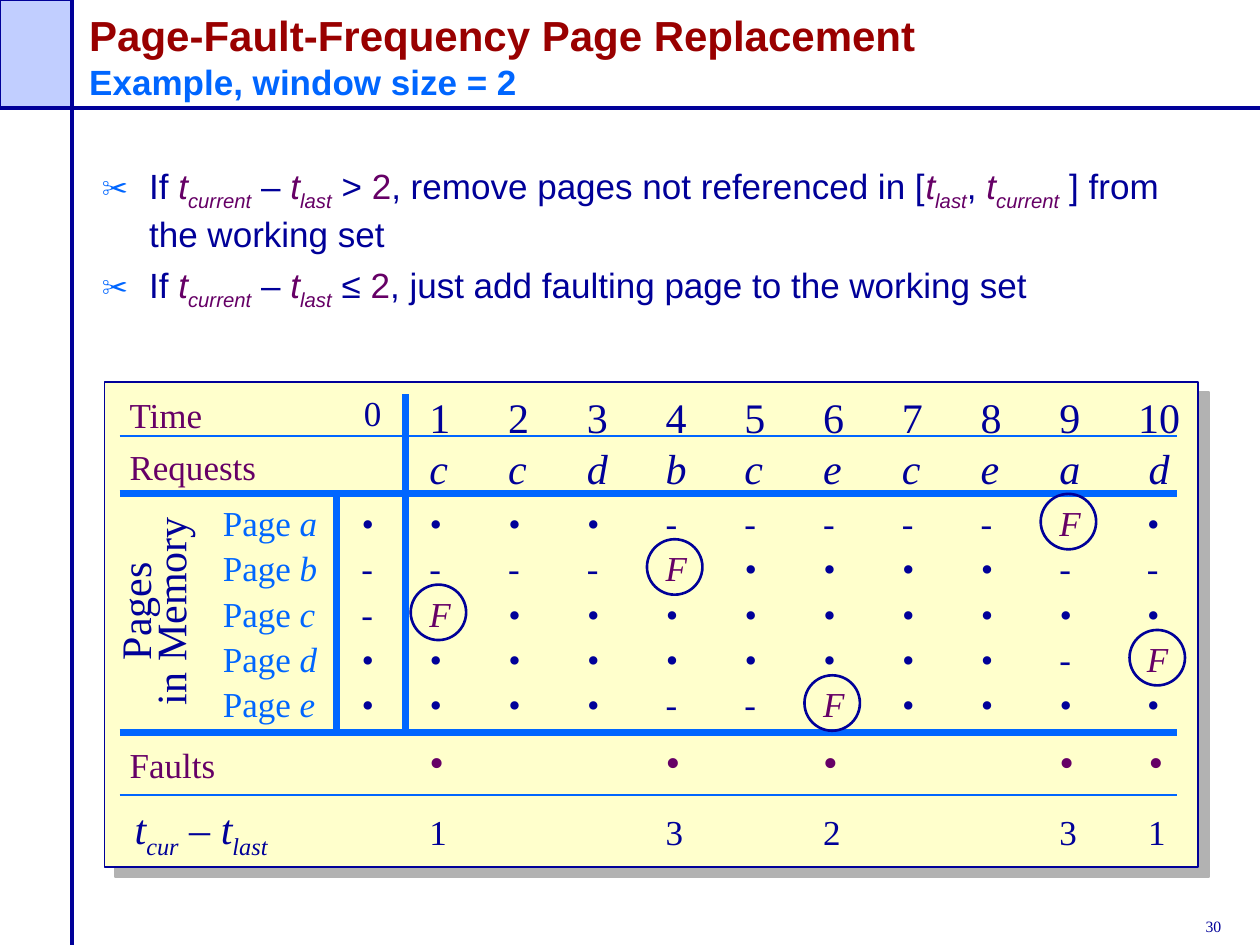
from dataclasses import dataclass
from itertools import groupby
from typing import NamedTuple

from lxml.etree import SubElement
from pptx import Presentation
from pptx.dml.color import RGBColor
from pptx.enum.shapes import MSO_CONNECTOR, MSO_SHAPE
from pptx.enum.text import MSO_ANCHOR, MSO_AUTO_SIZE, PP_ALIGN
from pptx.oxml.ns import qn
from pptx.util import Inches, Pt


@dataclass(frozen=True)
class Theme:
    """Colours, fonts and type sizes of the slide."""
    navy: str = "000099"
    blue: str = "0066FF"
    plum: str = "660066"
    red: str = "990000"
    lilac: str = "C1CEFF"
    cream: str = "FFFFCC"
    grey: str = "B2B2B2"
    sans: str = "Arial"
    serif: str = "Times New Roman"
    large: int = 24
    medium: int = 20
    small: int = 9


class Box(NamedTuple):
    """A rectangle in inches."""
    left: float
    top: float
    width: float
    height: float

    def inner(self, x, y, width, height):
        """Return a box placed relative to this one."""
        return Box(self.left + x, self.top + y, width, height)

    def lengths(self):
        """Return the four sides as lengths."""
        return [Inches(side) for side in self]


T = Theme()
COLUMN_PITCH, ROW_PITCH, LAST_SHIFT, ROW_WIDTH = 0.625, 0.36, 0.08, 6.2
REQUESTS = "ccdbcecead"
PAGES = {
    "a": ("•", "•••-----F•"),
    "b": ("-", "---F••••--"),
    "c": ("-", "F•••••••••"),
    "d": ("•", "••••••••-F"),
    "e": ("•", "•••--F••••"),
}
FAULT_GAPS = {1: 1, 4: 3, 6: 2, 9: 3, 10: 1}
FORMULA = [("t", {"color": T.plum, "italic": True}),
           ("current", {"color": T.plum, "italic": True, "sub": True}),
           (" – ", {}),
           ("t", {"color": T.plum, "italic": True}),
           ("last", {"color": T.plum, "italic": True, "sub": True})]


def add_runs(paragraph, runs, **base):
    """Write (text, style) runs, each style changing the base style."""
    for text, changes in runs:
        style = {"color": T.navy, "font": T.serif, "size": T.medium, **base, **changes}
        if text == "\n":
            paragraph.add_line_break()
            continue
        run = paragraph.add_run()
        run.text = text
        values = {"name": style["font"], "size": Pt(style["size"]),
                  "bold": style.get("bold", False), "italic": style.get("italic", False)}
        for attribute, value in values.items():
            setattr(run.font, attribute, value)
        run.font.color.rgb = RGBColor.from_string(style["color"])
        if style.get("sub"):
            run.font._element.set("baseline", "-25000")


def add_text(slide, box, *paragraphs, wrap=False, decorate=None, **base):
    """Add a text box, one paragraph for each list of runs."""
    text_box = slide.shapes.add_textbox(*box.lengths())
    frame = text_box.text_frame
    frame.word_wrap = wrap
    frame.auto_size = MSO_AUTO_SIZE.NONE if wrap else MSO_AUTO_SIZE.SHAPE_TO_FIT_TEXT
    for index, runs in enumerate(paragraphs):
        paragraph = frame.paragraphs[0] if index == 0 else frame.add_paragraph()
        if decorate:
            decorate(paragraph)
        add_runs(paragraph, [(runs, {})] if isinstance(runs, str) else runs, **base)
    return text_box


def add_line(slide, start, end, color, width):
    """Draw a straight line between two points in inches."""
    line = slide.shapes.add_connector(
        MSO_CONNECTOR.STRAIGHT, *(Inches(value) for value in (*start, *end)))
    line.line.color.rgb = RGBColor.from_string(color)
    line.line.width = Pt(width)
    SubElement(line._element.spPr, qn("a:effectLst"))


def add_outline(slide, preset, box, fill, width):
    """Add a navy-edged preset shape, filled if a colour is given."""
    shape = slide.shapes.add_shape(preset, *box.lengths())
    shape.shadow.inherit = False
    if fill:
        shape.fill.solid()
        shape.fill.fore_color.rgb = RGBColor.from_string(fill)
    else:
        shape.fill.background()
    shape.line.color.rgb = RGBColor.from_string(T.navy)
    shape.line.width = Pt(width)
    return shape


def set_bullet(paragraph):
    """Give a paragraph the hanging scissors bullet."""
    properties = paragraph._p.get_or_add_pPr()
    properties.set("marL", str(Inches(0.375)))
    properties.set("indent", str(-Inches(0.375)))
    color = SubElement(properties, qn("a:buClr"))
    SubElement(color, qn("a:srgbClr"), val=T.blue)
    SubElement(properties, qn("a:buSzPct"), val="75000")
    SubElement(properties, qn("a:buFont"), typeface=T.serif)
    SubElement(properties, qn("a:buChar"), char="✂")


def set_column_tabs(paragraph):
    """Put a tab stop at each time column."""
    tabs = SubElement(paragraph._p.get_or_add_pPr(), qn("a:tabLst"))
    for column in range(1, 10):
        SubElement(tabs, qn("a:tab"), pos=str(Inches(column * COLUMN_PITCH)), algn="l")


def add_frame(slide, box):
    """Draw the corner block, the rules and the slide number."""
    add_outline(slide, MSO_SHAPE.RECTANGLE, box.inner(0, 0, 0.57, 0.86), T.lilac, 1)
    add_line(slide, (box.left, 0.86), (box.left + box.width, 0.86), T.navy, 2.25)
    add_line(slide, (0.57, box.top), (0.57, box.top + box.height), T.navy, 2.25)
    add_text(slide, box.inner(9.47, 7.23, 0.36, 0.25), "30", size=T.small)


def add_title(slide, box):
    """Write the two-line title."""
    title = add_text(slide, box, [
        ("Page-Fault-Frequency Page Replacement", {"color": T.red, "size": T.large}),
        ("\n", {}),
        ("Example, window size = 2", {"color": T.blue})],
        wrap=True, font=T.sans, bold=True)
    title.text_frame.vertical_anchor = MSO_ANCHOR.BOTTOM


def add_rules(slide, box):
    """Write the two replacement rules."""
    two = ("2", {"color": T.plum})
    interval = [FORMULA[3], FORMULA[4], (", ", {}), FORMULA[0], FORMULA[1]]
    rules = add_text(
        slide, box,
        [("If ", {}), *FORMULA, (" > ", {}), two,
         (", remove pages not referenced in [", {}), *interval,
         (" ] from the working set", {})],
        [("If ", {}), *FORMULA, (" ≤ ", {}), two,
         (", just add faulting page to the working set", {})],
        wrap=True, decorate=set_bullet, font=T.sans)
    rules.text_frame.paragraphs[1].space_before = Pt(5)


def add_cells(slide, box, cells, **base):
    """Write one tabbed row, with each fault in plum."""
    tabbed = [cell + "\t" for cell in cells[:-1]] + [" " + cells[-1]]
    runs = [("".join(group), {"color": T.plum} if is_fault else {})
            for is_fault, group in groupby(tabbed, lambda cell: "F" in cell)]
    add_text(slide, box, runs, decorate=set_column_tabs, **base)


def add_grid_lines(slide, box):
    """Draw the rules between the rows and columns of the trace."""
    for y, width in ((0.43, 1), (0.89, 4), (2.78, 4), (3.28, 1)):
        add_line(slide, (box.left + 0.12, box.top + y),
                 (box.left + 8.51, box.top + y), T.blue, width)
    for x, y in ((2.39, 0.1), (1.84, 0.91)):
        add_line(slide, (box.left + x, box.top + y),
                 (box.left + x, box.top + 2.76), T.blue, 4)


def add_trace(slide, box):
    """Build the panel that traces the pages in memory over time."""
    panel = add_outline(slide, MSO_SHAPE.RECTANGLE, box, T.cream, 1)
    effects = panel._element.spPr.find(qn("a:effectLst"))
    shadow = SubElement(effects, qn("a:outerShdw"), dist=str(Pt(8.5)),
                        dir="2700000", algn="ctr", rotWithShape="0")
    SubElement(shadow, qn("a:srgbClr"), val=T.grey)
    add_grid_lines(slide, box)

    for label, y, width in (("Time", 0.04, 0.82), ("Requests", 0.46, 1.25), ("Faults", 2.82, 0.92)):
        add_text(slide, box.inner(0.1, y, width, 0.43), label, color=T.plum)
    add_text(slide, box.inner(1.96, 0.03, 0.34, 0.43), "0")
    add_text(slide, box.inner(2.48, 0.03, ROW_WIDTH, 0.5),
             "\t".join(str(time) for time in range(1, 11)),
             decorate=set_column_tabs, size=T.large)
    add_cells(slide, box.inner(2.48, 0.43, ROW_WIDTH, 0.5), REQUESTS, size=T.large, italic=True)
    memory = add_text(slide, box.inner(-0.42, 1.49, 1.69, 0.66), "Pages", "in Memory", size=T.large)
    memory.rotation = 270
    for paragraph in memory.text_frame.paragraphs:
        paragraph.alignment = PP_ALIGN.CENTER
        paragraph.line_spacing = 0.7

    for row, (page, (initial, states)) in enumerate(PAGES.items()):
        y = 0.9 + row * ROW_PITCH
        add_text(slide, box.inner(0.84, y, 1, 0.43),
                 [("Page ", {}), (page, {"italic": True})], color=T.blue)
        add_text(slide, box.inner(1.94, y, 0.3, 0.43), initial, italic=True)
        add_cells(slide, box.inner(2.48, y, ROW_WIDTH, 0.43), states, italic=True)
        column = states.index("F")
        x = 2.43 + column * COLUMN_PITCH + (LAST_SHIFT if column == 9 else 0)
        add_outline(slide, MSO_SHAPE.OVAL, box.inner(x, y - 0.01, 0.44, 0.44), None, 1.5)

    faults = ["•" if time in FAULT_GAPS else "" for time in range(1, 11)]
    add_cells(slide, box.inner(2.48, 2.76, ROW_WIDTH, 0.5), faults, size=T.large, color=T.plum)
    add_text(slide, box.inner(0.14, 3.29, 1.35, 0.55),
             [("t", {"italic": True}), ("cur", {"italic": True, "sub": True}), (" – ", {}),
              ("t", {"italic": True}), ("last", {"italic": True, "sub": True})], size=T.large)
    for time, gap in FAULT_GAPS.items():
        x = 2.48 + (time - 1) * COLUMN_PITCH + (LAST_SHIFT if time == 10 else 0)
        add_text(slide, box.inner(x, 3.35, 0.34, 0.43), str(gap))


def main():
    """Build and save the slide."""
    deck = Presentation()
    deck.slide_width, deck.slide_height = Inches(10), Inches(7.5)
    slide = deck.slides.add_slide(deck.slide_layouts[6])
    add_frame(slide, Box(0, 0, 10, 7.5))
    add_title(slide, Box(0.61, 0, 8.59, 0.86))
    add_rules(slide, Box(0.71, 1.26, 8.98, 1.72))
    add_trace(slide, Box(0.83, 3.03, 8.68, 3.85))
    deck.save("out.pptx")


if __name__ == "__main__":
    main()
